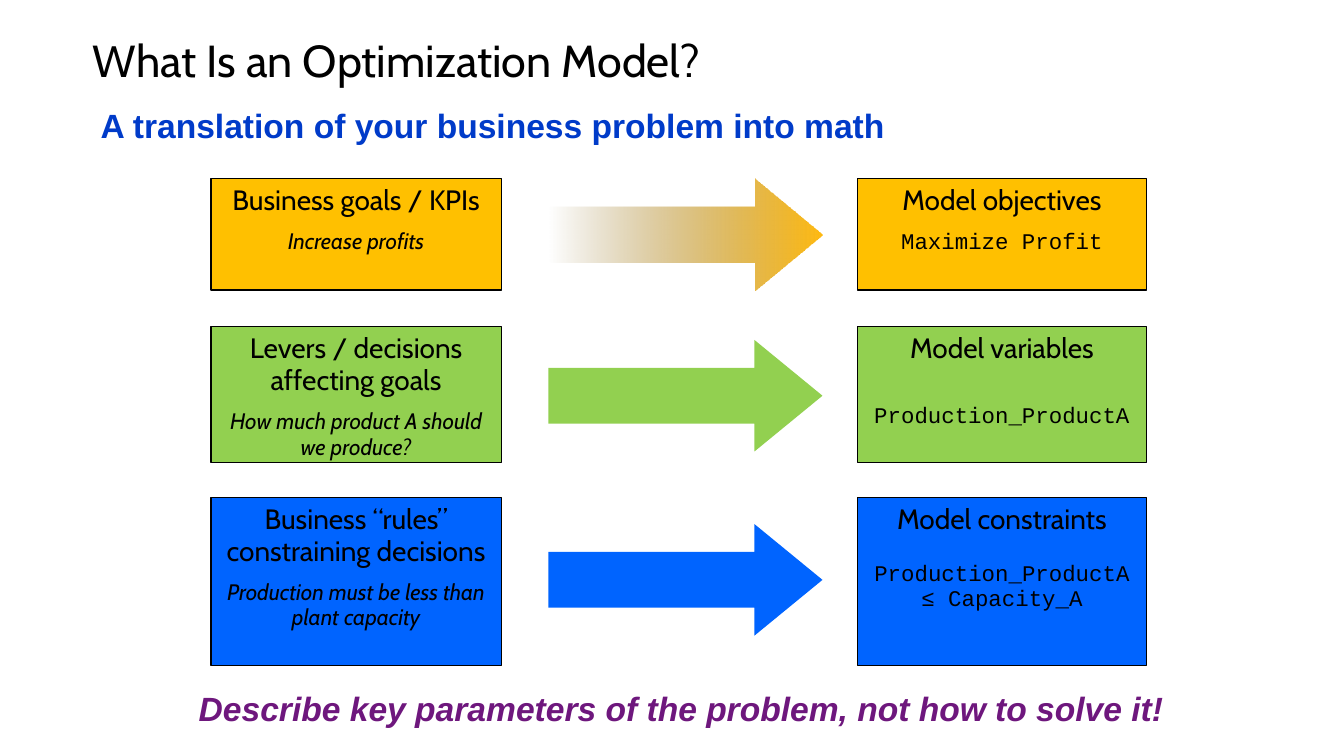
from lxml.etree import SubElement
from pptx import Presentation
from pptx.dml.color import RGBColor
from pptx.enum.shapes import MSO_SHAPE
from pptx.enum.text import MSO_ANCHOR, PP_ALIGN
from pptx.oxml.ns import qn
from pptx.util import Inches, Pt

COLORS = {
    "black": "000000",
    "subtitle": "003BC9",
    "takeaway": "6E177D",
    "goals": "FFC000",
    "levers": "92D050",
    "rules": "0064FF",
    "fade_start": "765608",
    "fade_end": "FEB911",
}
BUSINESS_LEFT, BUSINESS_WIDTH = 1.57, 2.16
MODEL_LEFT, MODEL_WIDTH = 6.38, 2.15
ARROW_LEFT, ARROW_WIDTH, ARROW_HEIGHT = 4.08, 2.04, 0.83

# color, top, height, arrow top, business heading and example,
# model heading and example, points between model heading and example
ROWS = [
    ("goals", 1.33, 0.83, 1.33, "Business goals / KPIs", "Increase profits",
     "Model objectives", "Maximize Profit", 6.5),
    ("levers", 2.43, 1.01, 2.53, "Levers / decisions affecting goals",
     "How much product A should we produce?",
     "Model variables", "Production_ProductA", 20.5),
    ("rules", 3.7, 1.25, 3.9, "Business “rules” constraining decisions",
     "Production must be less than plant capacity",
     "Model constraints", "Production_ProductA ≤ Capacity_A", 13.5),
]


def rgb(name):
    return RGBColor.from_string(COLORS[name])


def add_run(paragraph, text, size, font="Cabin", color="black", bold=False, italic=False):
    run = paragraph.add_run()
    run.text = text
    run.font.name = font
    run.font.size = Pt(size)
    run.font.bold = bold
    run.font.italic = italic
    run.font.color.rgb = rgb(color)


def add_heading(slide, left, top, width, height, text, size, margin=None, spacing=None, **style):
    frame = slide.shapes.add_textbox(
        Inches(left), Inches(top), Inches(width), Inches(height)).text_frame
    frame.word_wrap = False
    if margin is not None:
        frame.margin_left = frame.margin_right = Inches(margin)
        frame.margin_top = frame.margin_bottom = Inches(margin)
    paragraph = frame.paragraphs[0]
    if spacing:
        paragraph.line_spacing = spacing
    add_run(paragraph, text, size, **style)


def add_filled_shape(slide, preset, left, top, width, height, color):
    shape = slide.shapes.add_shape(
        preset, Inches(left), Inches(top), Inches(width), Inches(height))
    shape.shadow.inherit = False
    shape.fill.solid()
    shape.fill.fore_color.rgb = rgb(color)
    return shape


def add_box(slide, left, top, width, height, color, heading, example, gap, **example_style):
    """Add a framed box with a heading and, gap points below, an example."""
    box = add_filled_shape(slide, MSO_SHAPE.RECTANGLE, left, top, width, height, color)
    box.line.color.rgb = rgb("black")
    box.line.width = Pt(0.75)
    frame = box.text_frame
    frame.word_wrap = True
    frame.vertical_anchor = MSO_ANCHOR.TOP
    heading_line, example_line = frame.paragraphs[0], frame.add_paragraph()
    for paragraph in (heading_line, example_line):
        paragraph.alignment = PP_ALIGN.CENTER
        paragraph.line_spacing = 0.95
    example_line.space_before = Pt(gap)
    add_run(heading_line, heading, 15)
    add_run(example_line, example, 12, **example_style)


def add_arrow(slide, top, color):
    arrow = add_filled_shape(
        slide, MSO_SHAPE.RIGHT_ARROW, ARROW_LEFT, top, ARROW_WIDTH, ARROW_HEIGHT, color)
    arrow.line.fill.background()
    arrow.adjustments[0] = 0.5
    arrow.adjustments[1] = 0.61
    return arrow


def fade_in(arrow):
    """Fill the arrow with a gradient that starts fully transparent."""
    arrow.fill.gradient()
    arrow.fill.gradient_angle = 0
    start, end = arrow.fill.gradient_stops
    start.position, end.position = 0, 1
    start.color.rgb = rgb("fade_start")
    end.color.rgb = rgb("fade_end")
    first_color = arrow.element.spPr.find(".//" + qn("a:srgbClr"))
    SubElement(first_color, qn("a:alpha"), val="0")


def main():
    presentation = Presentation()
    presentation.slide_width = Inches(10)
    presentation.slide_height = Inches(10 * 9 / 16)
    slide = presentation.slides.add_slide(presentation.slide_layouts[6])

    add_heading(slide, 0.69, 0.29, 8.62, 1.09, "What Is an Optimization Model?", 24,
                margin=0, spacing=0.9)
    add_heading(slide, 0.65, 0.73, 6.1, 0.4,
                "A translation of your business problem into math", 18,
                font="Arial", color="subtitle", bold=True)

    for (color, top, height, arrow_top, goal, goal_example,
         model, model_example, model_gap) in ROWS:
        add_box(slide, BUSINESS_LEFT, top, BUSINESS_WIDTH, height, color,
                goal, goal_example, 6.5, italic=True)
        arrow = add_arrow(slide, arrow_top, color)
        if color == "goals":
            fade_in(arrow)
        add_box(slide, MODEL_LEFT, top, MODEL_WIDTH, height, color,
                model, model_example, model_gap, font="Courier New")

    add_heading(slide, 1.38, 5.07, 7.45, 0.4,
                "Describe key parameters of the problem, not how to solve it!", 18,
                font="Arial", color="takeaway", bold=True, italic=True)
    presentation.save("out.pptx")


if __name__ == "__main__":
    main()
